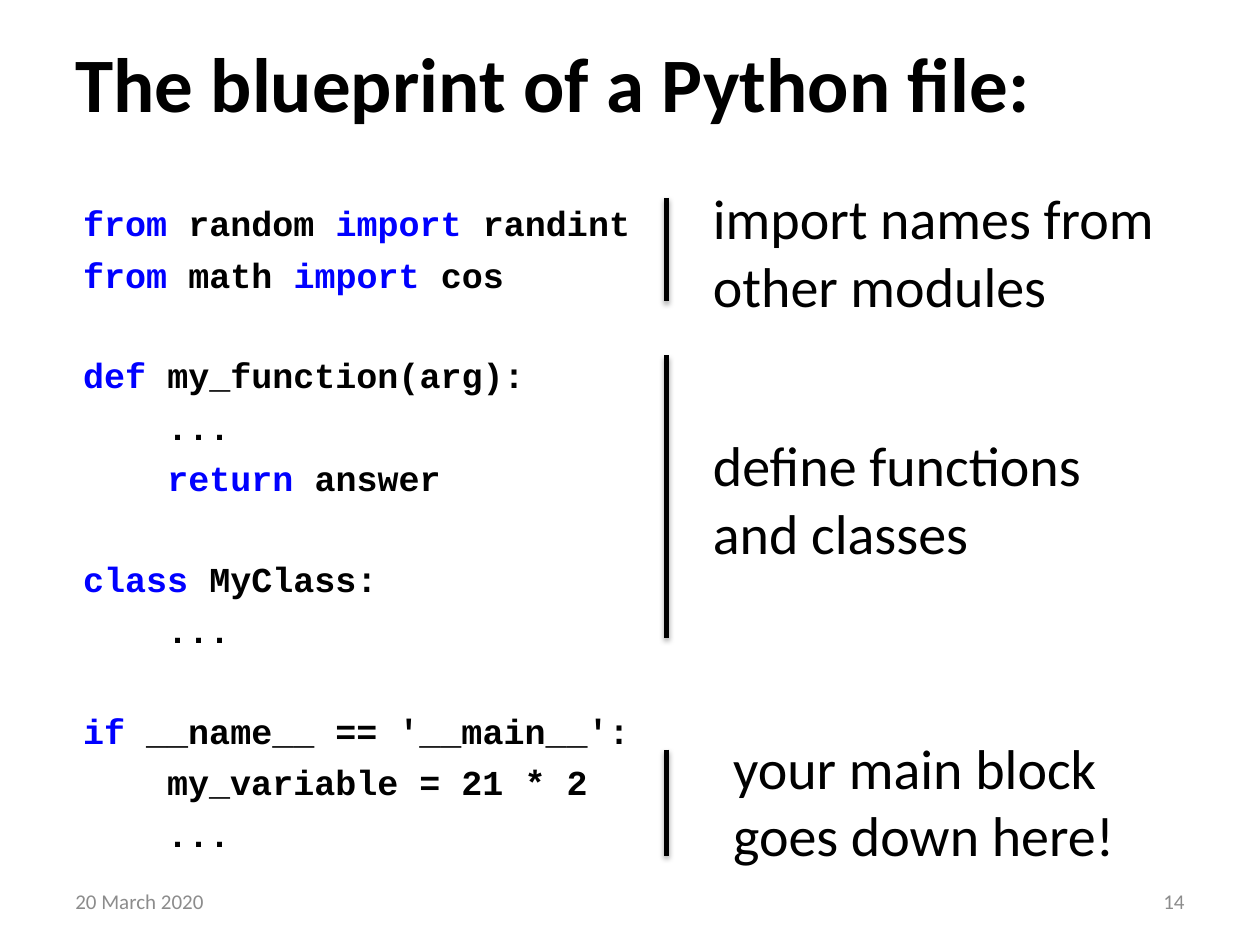
"""Build the slide that outlines the parts of a Python file."""
from lxml import etree
from pptx import Presentation
from pptx.dml.color import RGBColor
from pptx.enum.shapes import MSO_CONNECTOR
from pptx.enum.text import MSO_ANCHOR, PP_ALIGN
from pptx.oxml.ns import qn
from pptx.util import Inches, Pt

STRAIGHT = MSO_CONNECTOR.STRAIGHT
TOP, MIDDLE = MSO_ANCHOR.TOP, MSO_ANCHOR.MIDDLE
LEFT, RIGHT = PP_ALIGN.LEFT, PP_ALIGN.RIGHT
BLACK = RGBColor(0x00, 0x00, 0x00)
BLUE = RGBColor(0x00, 0x00, 0xFF)
GREY = RGBColor(0x8C, 0x8C, 0x8C)

TITLE = "The blueprint of a Python file:"
DATE = "20 March 2020"
PAGE = "14"
KEYWORDS = {"from", "import", "def", "return", "class", "if"}
CODE_BLOCKS = [
    [("from", " random ", "import", " randint"),
     ("from", " math ", "import", " cos")],
    [("def", " my_function(arg):"),
     ("    ...",),
     ("    ", "return", " answer")],
    [("class", " MyClass:"),
     ("    ...",)],
    [("if", " __name__ == '__main__':"),
     ("    my_variable = 21 * 2",),
     ("    ...",)],
]
NOTES = [
    ("import names from other modules", (5.56, 1.41, 3.94, 1.18), (1.57, 2.39)),
    ("define functions and classes", (5.56, 3.37, 3.63, 1.18), (2.82, 5.06)),
    ("your main block goes down here!", (5.72, 5.77, 3.67, 1.18), (5.95, 6.79)),
]
BAR_X = 5.29
LINE_GAP, BLOCK_GAP = 5.4, 33.5


def add_frame(slide, box, anchor=TOP):
    frame = slide.shapes.add_textbox(*map(Inches, box)).text_frame
    frame.word_wrap = True
    frame.vertical_anchor = anchor
    return frame


def style(run, size, color, font="Calibri", bold=False):
    run.font.size = Pt(size)
    run.font.color.rgb = color
    run.font.name = font
    run.font.bold = bold


def add_label(slide, text, box, size, color=BLACK, bold=False, anchor=MIDDLE, align=LEFT):
    frame = add_frame(slide, box, anchor)
    frame.text = text
    frame.paragraphs[0].alignment = align
    style(frame.paragraphs[0].runs[0], size, color, bold=bold)


def add_code(slide):
    frame = add_frame(slide, (0.5, 1.11, 9, 4.84))
    frame.margin_left = Inches(0.16)
    frame.margin_top = Inches(0.49)
    for block_index, block in enumerate(CODE_BLOCKS):
        for line_index, pieces in enumerate(block):
            if block_index == line_index == 0:
                line = frame.paragraphs[0]
            else:
                line = frame.add_paragraph()
                line.space_before = Pt(LINE_GAP if line_index else BLOCK_GAP)
            for piece in pieces:
                run = line.add_run()
                run.text = piece
                style(run, 20, BLUE if piece in KEYWORDS else BLACK, "Courier New", True)


def add_bar(slide, top, bottom):
    bar = slide.shapes.add_connector(
        STRAIGHT, Inches(BAR_X), Inches(top), Inches(BAR_X), Inches(bottom))
    bar.line.color.rgb = BLACK
    bar.line.width = Pt(3)
    effects = etree.SubElement(bar._element.spPr, qn("a:effectLst"))
    shadow = etree.SubElement(
        effects, qn("a:outerShdw"), blurRad=str(Pt(3.1)), dist=str(Pt(1.8)),
        dir="5400000", rotWithShape="0")
    color = etree.SubElement(shadow, qn("a:srgbClr"), val=str(BLACK))
    etree.SubElement(color, qn("a:alpha"), val="35000")


def main():
    deck = Presentation()
    deck.slide_width, deck.slide_height = Inches(10), Inches(7.5)
    slide = deck.slides.add_slide(deck.slide_layouts[6])
    add_label(slide, TITLE, (0.5, 0.02, 9, 1.25), 44, bold=True)
    add_code(slide)
    add_label(slide, DATE, (0.5, 6.95, 2.33, 0.4), 12, GREY)
    add_label(slide, PAGE, (7.17, 6.95, 2.33, 0.4), 12, GREY, align=RIGHT)
    for note, box, span in NOTES:
        add_bar(slide, *span)
        add_label(slide, note, box, 32, anchor=TOP)
    deck.save("out.pptx")


if __name__ == "__main__":
    main()
